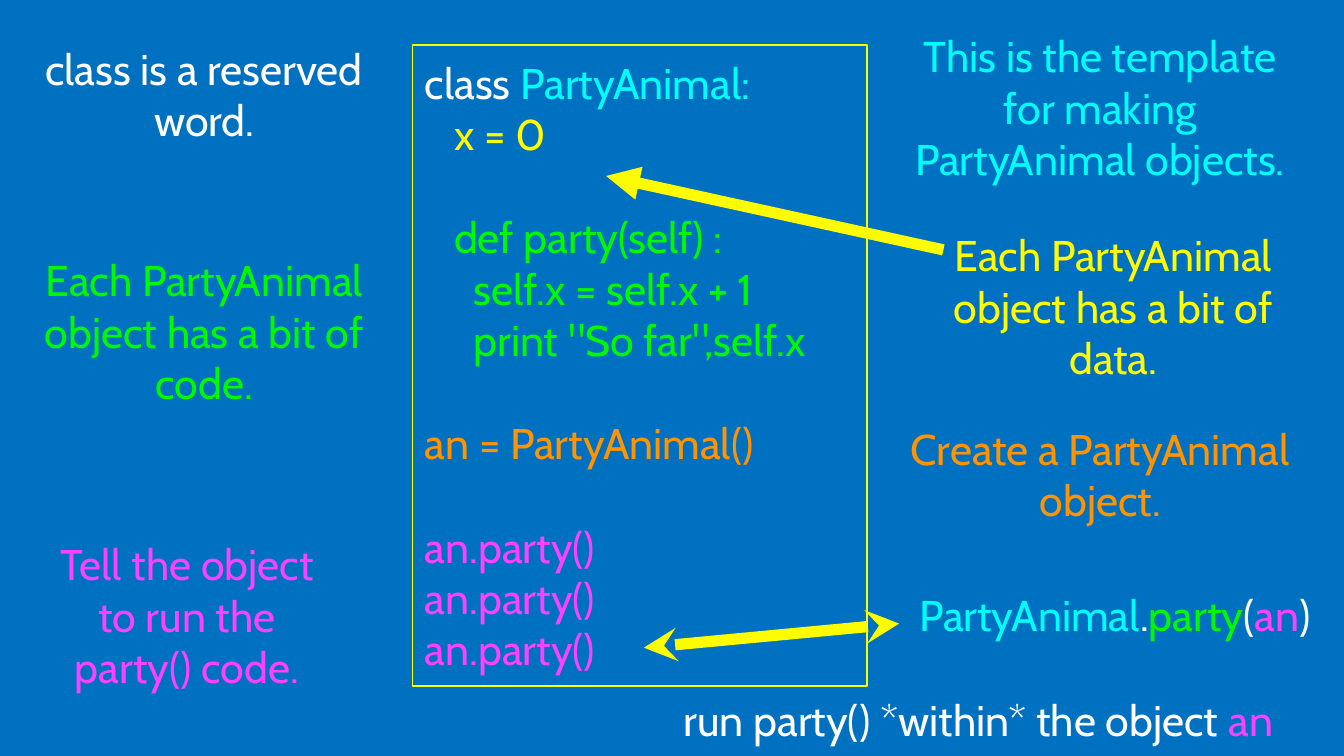
from dataclasses import dataclass

import pptx
import pptx.dml.color
import pptx.enum.shapes
import pptx.enum.text
import pptx.oxml.ns
import pptx.util
from lxml import etree

FONT = "Cabin"
SIZE = 23
LINE_HEIGHT = 27.7
SPACE_WIDTH = 5.2
INSET = 1.5

BLUE = "0070C0"
WHITE = "FFFFFF"
CYAN = "00FDFF"
YELLOW = "FFFB00"
GREEN = "00F900"
ORANGE = "FF9300"
PINK = "FF40FF"

Run = tuple[str, str]  # text, colour


@dataclass
class CodeLine:
    runs: list[Run]
    indent: int = 1  # in widths of a space
    gap: int = 0  # lines left free above


@dataclass
class Note:
    left: float
    top: float
    width: float
    height: float
    runs: list[Run]


@dataclass
class Arrow:
    start: tuple[float, float]
    end: tuple[float, float]
    heads: dict[str, str]


CODE = [
    CodeLine([("class ", WHITE), ("PartyAnimal:", CYAN)]),
    CodeLine([("x = 0", YELLOW)], indent=4),
    CodeLine([("def party(self) :", GREEN)], indent=4, gap=1),
    CodeLine([("self.x = self.x + 1", GREEN)], indent=6),
    CodeLine([('print "So far",self.x', GREEN)], indent=6),
    CodeLine([("an = PartyAnimal()", ORANGE)], gap=1),
    CodeLine([("an.party()", PINK)], gap=1),
    CodeLine([("an.party()", PINK)]),
    CodeLine([("an.party()", PINK)]),
]

NOTES = [
    Note(485.5, 16.5, 208, 81.5,
         [("This is the template for making PartyAnimal objects.", CYAN)]),
    Note(5.5, 24, 208, 52.5, [("class is a reserved word.", WHITE)]),
    Note(492.5, 125.5, 208, 77, [("Each PartyAnimal object has a bit of data.", YELLOW)]),
    Note(5.5, 139, 208, 77, [("Each PartyAnimal object has a bit of code.", GREEN)]),
    Note(485.5, 227.5, 208, 52.5, [("Create a PartyAnimal object.", ORANGE)]),
    Note(19.5, 291, 161.5, 77, [("Tell the object to run the party() code.", PINK)]),
    Note(358.5, 371.5, 331.5, 28,
         [("run party() *within* the object ", WHITE), ("an", PINK)]),
    Note(489, 314.5, 216.5, 29.5,
         [("PartyAnimal", CYAN), (".", WHITE), ("party", GREEN),
          ("(", WHITE), ("an", PINK), (")", WHITE)]),
]

ARROWS = [
    Arrow((324.7, 94.3), (505.4, 133.9), {"headEnd": "triangle"}),
    Arrow((344.9, 347), (481.7, 334.1), {"headEnd": "stealth", "tailEnd": "stealth"}),
]


def pt(value: float) -> pptx.util.Length:
    return pptx.util.Pt(value)


def color(hex_value: str) -> pptx.dml.color.RGBColor:
    return pptx.dml.color.RGBColor.from_string(hex_value)


def write(paragraph, runs: list[Run], *, align="LEFT", indent: float = 0,
          before: float = 0) -> None:
    paragraph.alignment = getattr(pptx.enum.text.PP_ALIGN, align)
    paragraph.space_before = pt(before)
    if indent:
        properties = paragraph._p.get_or_add_pPr()
        properties.set("marL", str(int(pt(indent))))
        properties.set("indent", "0")
    for text, hex_value in runs:
        run = paragraph.add_run()
        run.text = text
        run.font.name = FONT
        run.font.size = pt(SIZE)
        run.font.color.rgb = color(hex_value)


def prepare_frame(shape):
    frame = shape.text_frame
    frame.word_wrap = True
    frame.vertical_anchor = pptx.enum.text.MSO_ANCHOR.MIDDLE
    frame.margin_left = frame.margin_right = pt(INSET)
    frame.margin_top = frame.margin_bottom = pt(INSET)
    return frame


def draw_code(slide, lines: list[CodeLine]) -> None:
    panel = slide.shapes.add_shape(pptx.enum.shapes.MSO_SHAPE.RECTANGLE,
                                   pt(221), pt(24), pt(243.5), pt(343.5))
    panel.shadow.inherit = False
    panel.fill.background()
    panel.line.color.rgb = color(YELLOW)
    panel.line.width = pt(1)
    frame = prepare_frame(panel)
    for number, line in enumerate(lines):
        paragraph = frame.add_paragraph() if number else frame.paragraphs[0]
        write(paragraph, line.runs, indent=line.indent * SPACE_WIDTH,
              before=line.gap * LINE_HEIGHT)


def draw_note(slide, note: Note) -> None:
    box = slide.shapes.add_textbox(pt(note.left), pt(note.top),
                                   pt(note.width), pt(note.height))
    write(prepare_frame(box).paragraphs[0], note.runs, align="CENTER")


def draw_arrow(slide, arrow: Arrow) -> None:
    connector = slide.shapes.add_connector(
        pptx.enum.shapes.MSO_CONNECTOR.STRAIGHT,
        *map(pt, arrow.start), *map(pt, arrow.end))
    connector.line.color.rgb = color(YELLOW)
    connector.line.width = pt(6)
    line = connector.line._get_or_add_ln()
    for end, kind in arrow.heads.items():
        etree.SubElement(line, pptx.oxml.ns.qn(f"a:{end}"), type=kind)
    etree.SubElement(connector._element.spPr, pptx.oxml.ns.qn("a:effectLst"))


def main() -> None:
    deck = pptx.Presentation()
    deck.slide_width, deck.slide_height = pt(720), pt(405)
    slide = deck.slides.add_slide(deck.slide_layouts[6])  # blank: no title here
    slide.background.fill.solid()
    slide.background.fill.fore_color.rgb = color(BLUE)

    # Code in the middle, notes around it
    draw_code(slide, CODE)
    for note in NOTES:
        draw_note(slide, note)

    # Arrows between notes and code
    for arrow in ARROWS:
        draw_arrow(slide, arrow)

    deck.save("out.pptx")


if __name__ == "__main__":
    main()
